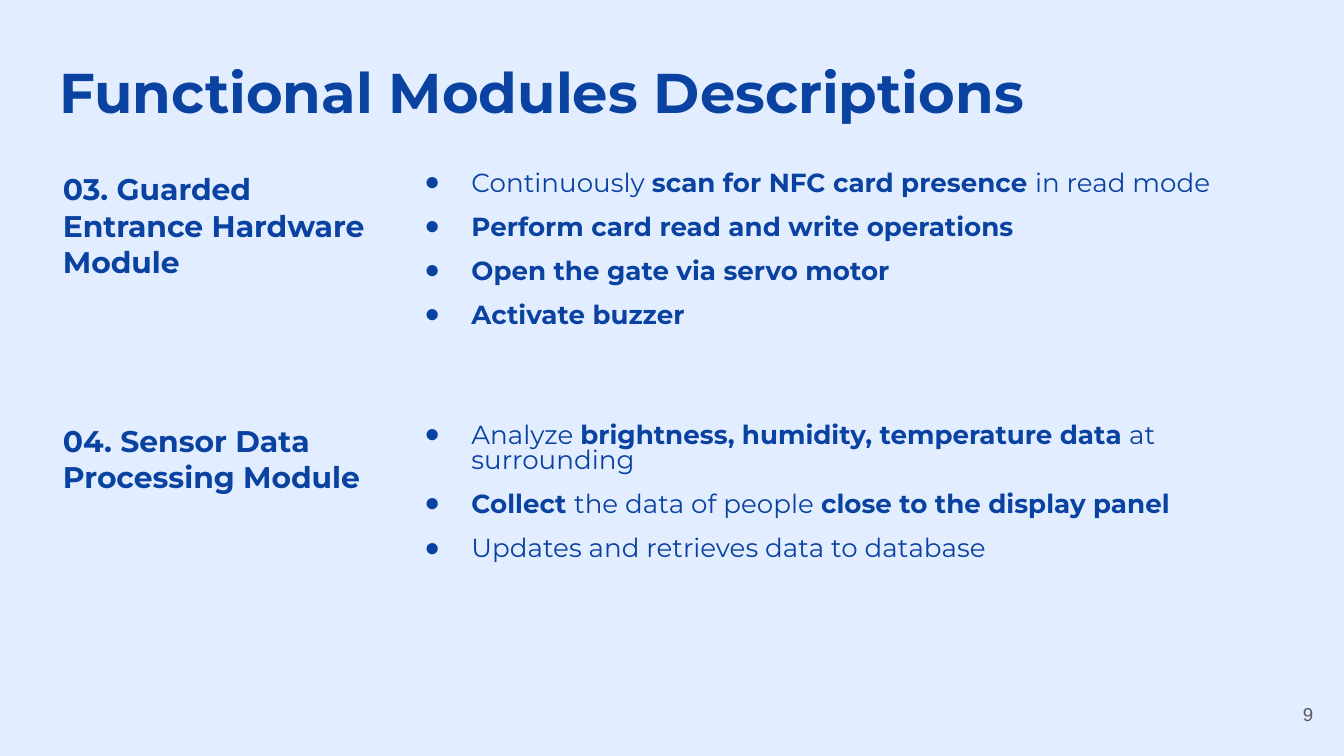
from lxml import etree
from pptx import Presentation
from pptx.dml.color import RGBColor
from pptx.enum.text import MSO_ANCHOR, MSO_AUTO_SIZE, PP_ALIGN
from pptx.oxml.ns import qn
from pptx.util import Cm, Pt

TOP, MIDDLE = MSO_ANCHOR.TOP, MSO_ANCHOR.MIDDLE
LEFT, RIGHT = PP_ALIGN.LEFT, PP_ALIGN.RIGHT
NO_FIT = MSO_AUTO_SIZE.NONE
BLUE, PALE, GREY = "0942A1", "E2EDFF", "595959"
FACE, PLAIN = "Montserrat", "Arial"
PAD = Cm(0.25)

MODULES = [
    ("03. Guarded Entrance Hardware Module", [
        [("Continuously ", False), ("scan for NFC card presence ", True),
         ("in read mode", False)],
        [("Perform card read and write operations", True)],
        [("Open the gate via servo motor", True)],
        [("Activate buzzer", True)],
    ]),
    ("04. Sensor Data Processing Module", [
        [("Analyze ", False), ("brightness, humidity, temperature data", True),
         (" at surrounding", False)],
        [("Collect ", True), ("the data of people ", False),
         ("close to the display panel", True)],
        [("Updates and retrieves data to database", False)],
    ]),
]


def tint(code):
    """Turn a hex string into a colour."""
    return RGBColor.from_string(code)


def style(run, size, bold=False, face=FACE, code=BLUE):
    """Format one run."""
    font = run.font
    font.size, font.bold, font.name = Pt(size), bold, face
    font.color.rgb = tint(code)


def inset(item):
    """Give a text frame or cell equal margins."""
    item.margin_left = item.margin_right = PAD
    item.margin_top = item.margin_bottom = PAD


def place(shape, box):
    """Move a shape to a box of left, top, width and height."""
    shape.left, shape.top, shape.width, shape.height = map(Cm, box)


def add_title(slide, box, text):
    """Fill the title placeholder."""
    title = slide.shapes.title
    place(title, box)
    frame = title.text_frame
    frame.text = text
    frame.auto_size, frame.vertical_anchor = NO_FIT, TOP
    frame.word_wrap = True
    inset(frame)
    para = frame.paragraphs[0]
    para.alignment = LEFT
    style(para.runs[0], 30, True)


def add_bullet(para):
    """Set the round bullet and its hanging indent."""
    props = para._p.get_or_add_pPr()
    props.set("marL", str(Cm(1.27)))
    props.set("indent", str(-Cm(0.89)))
    hue = etree.SubElement(props, qn("a:buClr"))
    etree.SubElement(hue, qn("a:srgbClr"), val=BLUE)
    etree.SubElement(props, qn("a:buFont"), typeface=PLAIN)
    etree.SubElement(props, qn("a:buChar"), char="●")


def fill_list(frame, items):
    """Write a bulleted list of mixed bold and plain runs."""
    for i, parts in enumerate(items):
        para = frame.add_paragraph() if i else frame.paragraphs[0]
        add_bullet(para)
        para.line_spacing = 0.8
        para.space_before = Pt(10 if i else 0)
        for text, bold in parts:
            run = para.add_run()
            run.text = text
            style(run, 14, bold)


def clear_cell(cell):
    """Remove the fill and borders of a cell."""
    inset(cell)
    cell.fill.background()
    props = cell._tc.get_or_add_tcPr()
    for i, side in enumerate(("lnL", "lnR", "lnT", "lnB")):
        line = etree.Element(qn("a:" + side))
        etree.SubElement(line, qn("a:noFill"))
        props.insert(i, line)


def add_modules(slide, box, modules):
    """Set the modules in a table with a spare row between them."""
    rows = 2 * len(modules) - 1
    table = slide.shapes.add_table(rows, 2, *map(Cm, box)).table
    table.first_row = table.horz_banding = False
    for col, width in zip(table.columns, (6.45, box[2] - 6.45)):
        col.width = Cm(width)
    for row, height in zip(table.rows, (3.48, 1.27, 3.1)):
        row.height = Cm(height)
    for cell in table.iter_cells():
        clear_cell(cell)
    for i, (name, items) in enumerate(modules):
        head, body = table.rows[2 * i].cells
        head.text_frame.text = name
        style(head.text_frame.paragraphs[0].runs[0], 16, True)
        fill_list(body.text_frame, items)


def add_number(slide, box, text):
    """Add the page number."""
    frame = slide.shapes.add_textbox(*map(Cm, box)).text_frame
    frame.text = text
    frame.word_wrap, frame.vertical_anchor = True, MIDDLE
    inset(frame)
    para = frame.paragraphs[0]
    para.alignment = RIGHT
    style(para.runs[0], 10, face=PLAIN, code=GREY)


def main():
    """Build and save the slide."""
    deck = Presentation()
    deck.slide_width, deck.slide_height = Cm(25.4), Cm(14.29)
    slide = deck.slides.add_slide(deck.slide_layouts[5])
    fill = slide.background.fill
    fill.solid()
    fill.fore_color.rgb = tint(PALE)
    add_title(slide, (0.87, 0.84, 23.67, 1.6), "Functional Modules Descriptions")
    add_modules(slide, (0.94, 3, 23.98, 7.85), MODULES)
    add_number(slide, (23.55, 12.95, 1.52, 1.09), "9")
    deck.save("out.pptx")


if __name__ == "__main__":
    main()
